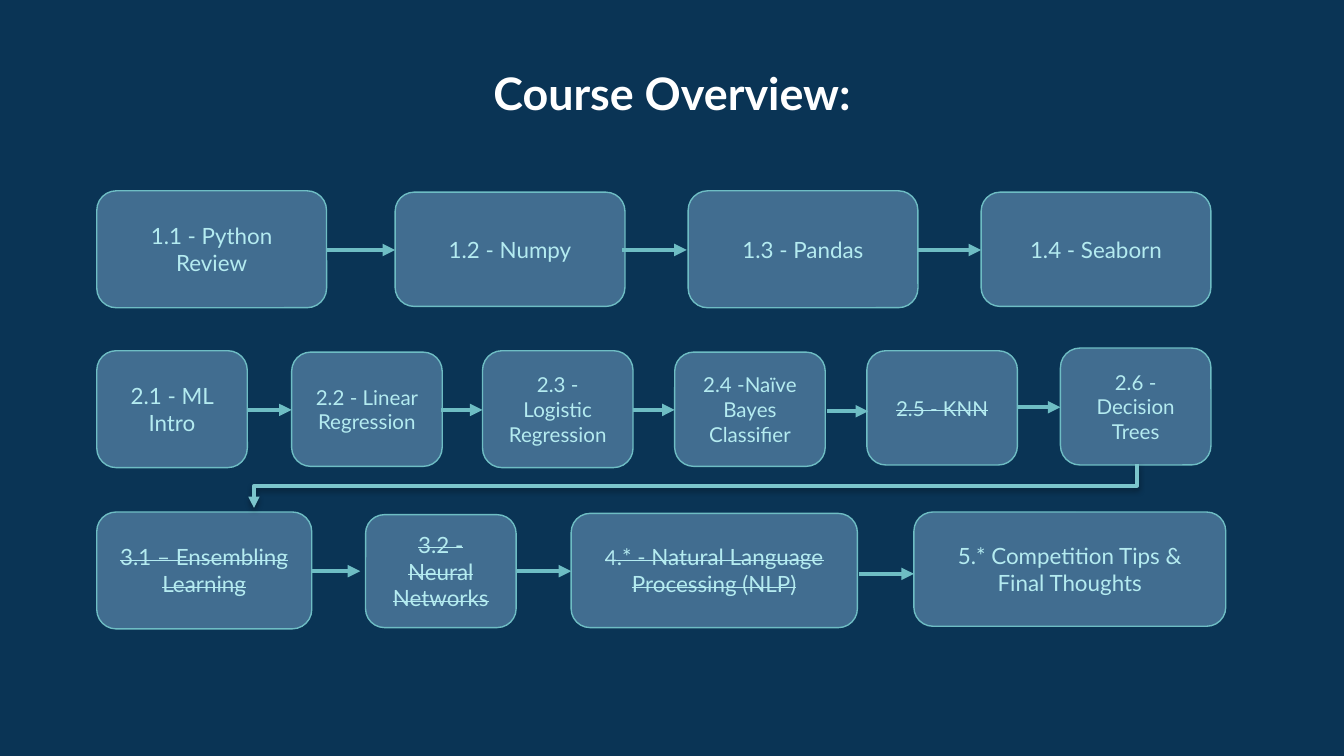
from lxml import etree
from pptx import Presentation
from pptx import util as u
from pptx.dml.color import RGBColor
from pptx.enum import shapes, text
from pptx.oxml.ns import qn

NAVY = RGBColor(0x0A, 0x34, 0x55)
STEEL = RGBColor(0x41, 0x6D, 0x90)
TEAL = RGBColor(0x6E, 0xBD, 0xC4)
AQUA = RGBColor(0x7C, 0xC5, 0xCC)
PALE = RGBColor(0xB4, 0xEB, 0xF0)
WHITE = RGBColor(0xFF, 0xFF, 0xFF)

LESSONS = [
    (72, 142, 171, 87, [("1.1 - Python Review", 12)], False),
    (294, 143, 171, 85, [("1.2 - Numpy", 12)], False),
    (512, 142, 171, 87, [("1.3 - Pandas", 12)], False),
    (730, 143, 171, 85, [("1.4 - Seaborn", 12)], False),
    (72, 261, 112, 87, [("2.1 - ML Intro", 12)], False),
    (217, 262, 112, 85, [("2.2 - Linear Regression", 11)], False),
    (359, 261, 112, 87, [("2.3 - Logistic Regression", 11)], False),
    (502, 262, 112, 85, [("2.4 -Naïve Bayes Classifier", 11)], False),
    (645, 261, 112, 85, [("2.5 - KNN", 11)], True),
    (789, 259, 112, 87, [("2.6 - Decision Trees", 11)], False),
    (72, 381, 160, 87, [("3.1 – Ensembling Learning", 12)], True),
    (272, 383, 112, 84, [("3.2 - Neural Networks", 12)], True),
    (425, 382, 213, 85, [("4", 11), (".* - Natural Language Processing (NLP)", 12)], True),
    (680, 381, 232, 85, [("5.* Competition Tips & Final Thoughts", 12)], False),
]
ARROWS = [
    (243, 294, 186), (463, 511, 186), (683, 730, 186),
    (184, 217, 305), (328, 359, 305), (471, 502, 305), (615, 646, 306), (757, 789, 303),
    (232, 268, 425), (384, 425, 425), (639, 680, 427),
]


class Board:
    """Draws styled course boxes and arrows on one slide, in px of 1/100 inch."""

    SCALE = 9144
    FONT = "Lato"

    def __init__(self, deck, width):
        deck.slide_width = u.Emu(width * self.SCALE)
        deck.slide_height = u.Emu(deck.slide_width * 9 // 16)
        self.page = deck.slides.add_slide(deck.slide_layouts[5])
        self.page.background.fill.solid()
        self.page.background.fill.fore_color.rgb = NAVY

    def emu(self, *lengths):
        return [u.Emu(length * self.SCALE) for length in lengths]

    def set_frame(self, frame, anchor):
        frame.word_wrap = True
        frame.auto_size = text.MSO_AUTO_SIZE.NONE
        frame.vertical_anchor = anchor
        frame.margin_left, frame.margin_top, frame.margin_right, frame.margin_bottom = self.emu(10, 10, 10, 10)
        frame.paragraphs[0].alignment = text.PP_ALIGN.CENTER

    def set_font(self, font, size, color, bold=False):
        font.name, font.size, font.bold = self.FONT, u.Pt(size), bold
        font.color.rgb = color

    def title(self, left, top, width, height, words):
        box = self.page.shapes.title
        box.left, box.top, box.width, box.height = self.emu(left, top, width, height)
        box.text_frame.text = words
        self.set_frame(box.text_frame, text.MSO_ANCHOR.TOP)
        self.set_font(box.text_frame.paragraphs[0].runs[0].font, 24, WHITE, True)

    def lesson(self, left, top, width, height, spans, struck):
        kind = shapes.MSO_SHAPE.FLOWCHART_ALTERNATE_PROCESS
        box = self.page.shapes.add_shape(kind, *self.emu(left, top, width, height))
        box.shadow.inherit = False
        box.fill.solid()
        box.fill.fore_color.rgb = STEEL
        box.line.color.rgb = TEAL
        box.line.width = u.Pt(0.75)
        self.set_frame(box.text_frame, text.MSO_ANCHOR.MIDDLE)
        for words, size in spans:
            span = box.text_frame.paragraphs[0].add_run()
            span.text = words
            self.set_font(span.font, size, PALE)
            if struck:
                span._r.get_or_add_rPr().set("strike", "sngStrike")

    def connector(self, kind, ends, color, weight):
        line = self.page.shapes.add_connector(kind, *self.emu(*ends))
        line.line.color.rgb = color
        line.line.width = u.Pt(weight)
        etree.SubElement(line.line._get_or_add_ln(), qn("a:tailEnd"), type="triangle")
        effects = etree.SubElement(line._element.spPr, qn("a:effectLst"))
        return line, effects

    def arrow(self, start, end, y):
        self.connector(shapes.MSO_CONNECTOR.STRAIGHT, (start, y, end, y), TEAL, 2.25)

    def row_break(self, left, top, width, height):
        ends = (left, top, left + width, top + height)
        line, effects = self.connector(shapes.MSO_CONNECTOR.ELBOW, ends, AQUA, 2)
        line._element.spPr.find(qn("a:xfrm")).set("rot", "5400000")
        shadow = etree.SubElement(effects, qn("a:outerShdw"), blurRad="40000", dist="20000", dir="5400000", rotWithShape="0")
        tint = etree.SubElement(shadow, qn("a:srgbClr"), val="000000")
        etree.SubElement(tint, qn("a:alpha"), val="38000")


def main():
    deck = Presentation()
    board = Board(deck, 1000)
    board.title(180, 39, 640, 103, "Course Overview:")
    for lesson in LESSONS:
        board.lesson(*lesson)
    for arrow in ARROWS:
        board.arrow(*arrow)
    board.row_break(501, 33, 33, 657)
    deck.save("out.pptx")


if __name__ == "__main__":
    main()
